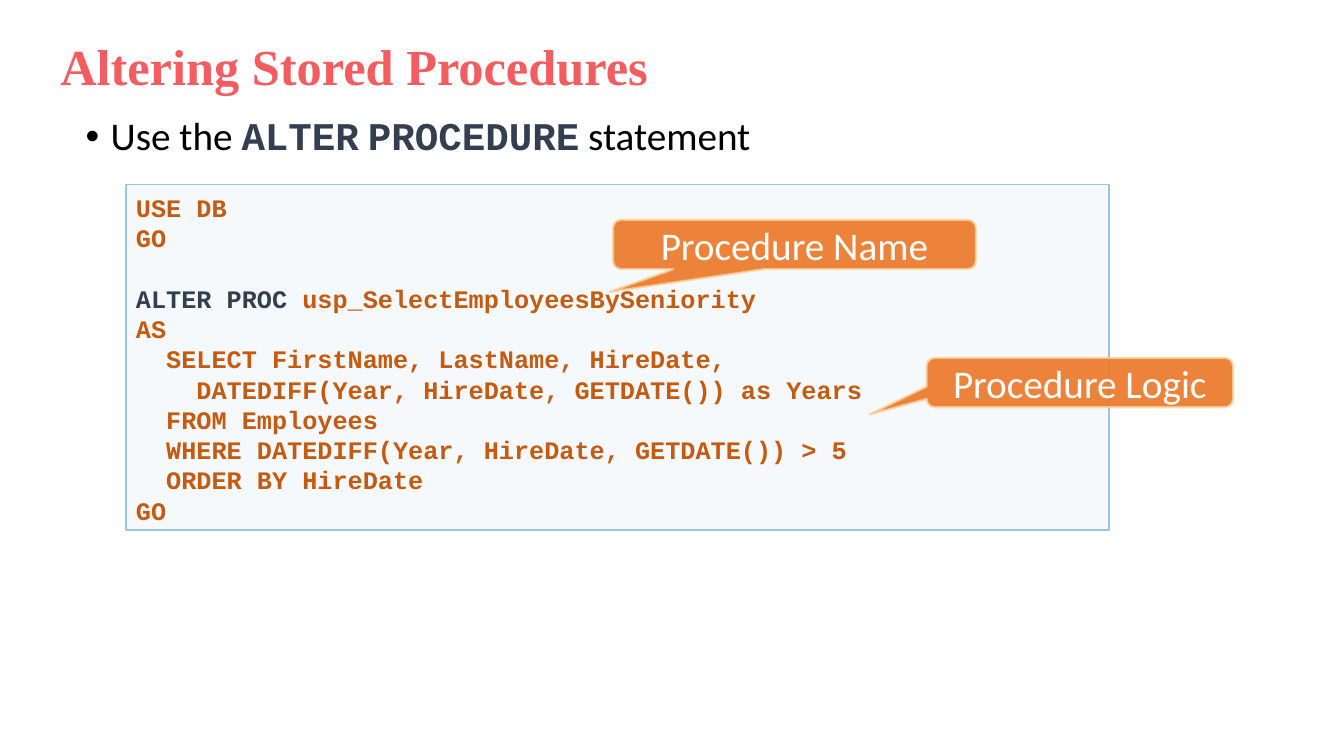
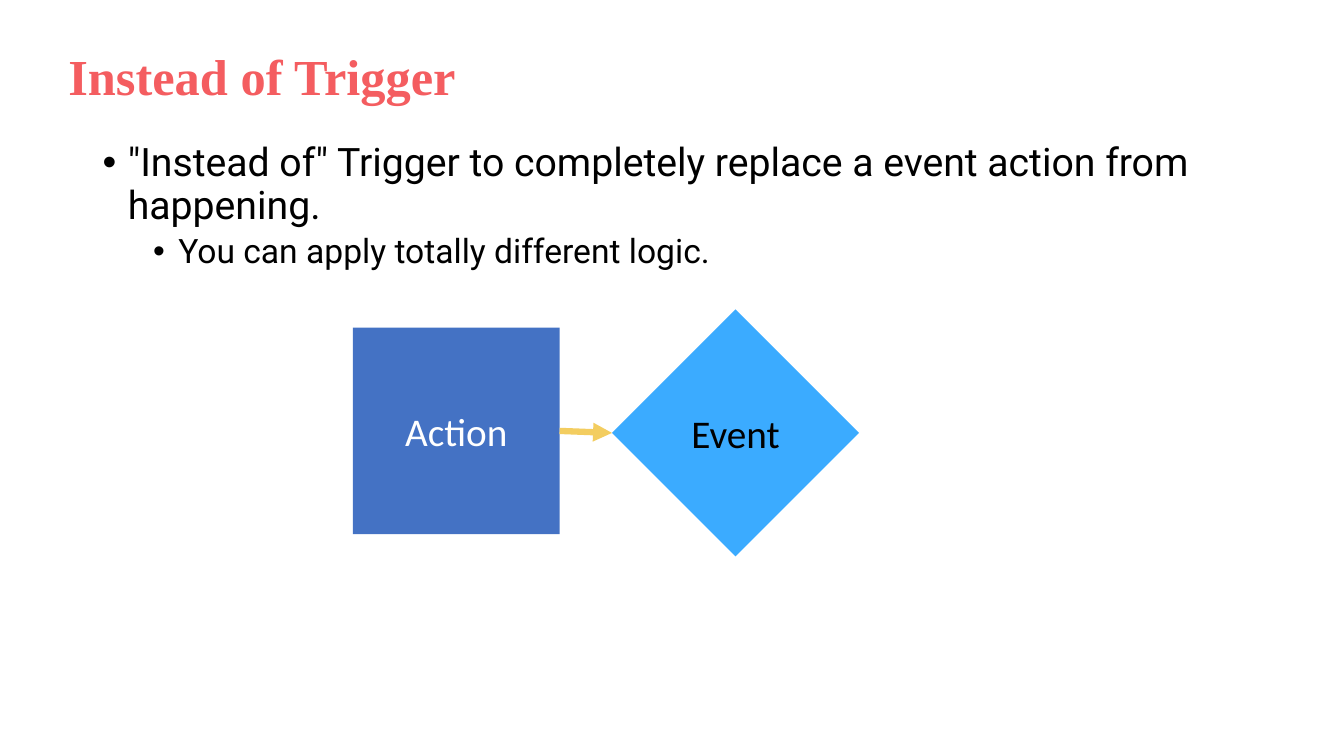
from dataclasses import dataclass

from lxml.etree import SubElement
from pptx import Presentation
from pptx.dml.color import RGBColor
from pptx.enum.shapes import MSO_CONNECTOR as Connector, MSO_SHAPE as Shape
from pptx.enum.text import MSO_ANCHOR as Anchor, PP_ALIGN as Align
from pptx.oxml.ns import qn
from pptx.util import Inches, Pt


@dataclass(frozen=True)
class Theme:
    # Colours
    title: str = "F45D60"
    ink: str = "000000"
    white: str = "FFFFFF"
    keyword: str = "333F50"
    code: str = "C55A11"
    code_fill: str = "BDD7EE"
    code_line: str = "9DC3E6"
    callout: str = "ED7D31"
    callout_line: str = "F8D49E"
    square: str = "4472C4"
    diamond: str = "3BABFF"
    arrow: str = "F3CD60"
    # Fonts
    title_font: str = "Times New Roman"
    body_font: str = "Calibri"
    code_font: str = "Courier New"
    alt_font: str = "Roboto"
    # Type sizes
    title_size: int = 36
    body_size: int = 28
    sub_size: int = 24
    code_size: int = 18
    code_pitch: float = 21.6


THEME = Theme()

# Each code line: indent in characters, then its (text, colour) spans
CODE_LINES = [
    (0, [("USE DB", THEME.code)]),
    (0, [("GO", THEME.code)]),
    (0, [("ALTER PROC ", THEME.keyword), ("usp_SelectEmployeesBySeniority", THEME.code)]),
    (0, [("AS", THEME.code)]),
    (2, [("SELECT FirstName, LastName, HireDate,", THEME.code)]),
    (4, [("DATEDIFF(Year, HireDate, GETDATE()) as Years", THEME.code)]),
    (2, [("FROM Employees", THEME.code)]),
    (2, [("WHERE DATEDIFF(Year, HireDate, GETDATE()) > 5", THEME.code)]),
    (2, [("ORDER BY HireDate", THEME.code)]),
    (0, [("GO", THEME.code)]),
]
BATCH_START = 2  # code line that follows a one-line gap


# Shared helpers
def rgb(colour):
    return RGBColor.from_string(colour)


def add_span(para, text, font, size, colour, bold=False):
    span = para.add_run()
    span.text = text
    span.font.name, span.font.size, span.font.bold = font, Pt(size), bold
    span.font.color.rgb = rgb(colour)


def set_opacity(fill_parent, percent):
    colour = fill_parent.find(qn("a:solidFill")).find(qn("a:srgbClr"))
    SubElement(colour, qn("a:alpha")).set("val", str(percent * 1000))


def set_indent(para, left, first=0):
    props = para._p.get_or_add_pPr()
    props.set("marL", str(Inches(left)))
    props.set("indent", str(Inches(first)))
    return props


def add_text_box(page, box, anchor=Anchor.TOP):
    frame = page.shapes.add_textbox(*map(Inches, box)).text_frame
    frame.word_wrap = True
    frame.vertical_anchor = anchor
    return frame


def add_panel(page, kind, box, fill, line=None, width=1):
    panel = page.shapes.add_shape(kind, *map(Inches, box))
    panel.shadow.inherit = False
    panel.fill.solid()
    panel.fill.fore_color.rgb = rgb(fill)
    if line:
        panel.line.color.rgb = rgb(line)
        panel.line.width = Pt(width)
    else:
        panel.line.fill.background()
    return panel


def add_label(panel, text, colour):
    panel.text_frame.vertical_anchor = Anchor.MIDDLE
    para = panel.text_frame.paragraphs[0]
    para.alignment = Align.CENTER
    add_span(para, text, THEME.body_font, THEME.body_size, colour)


# Title and bullets
def add_title(page, box, text):
    para = add_text_box(page, box, Anchor.MIDDLE).paragraphs[0]
    para.line_spacing = 0.9
    add_span(para, text, THEME.title_font, THEME.title_size, THEME.title, bold=True)


def add_bullets(page, box, items):
    """Each item is its level and a list of (text, font, colour, bold) spans."""
    frame = add_text_box(page, box)
    for number, (level, spans) in enumerate(items):
        para = frame.add_paragraph() if number else frame.paragraphs[0]
        para.level = level
        para.line_spacing = 0.9
        para.space_before = Pt(5 if level else 10)
        props = set_indent(para, 0.25 + 0.5 * level, -0.25)
        SubElement(props, qn("a:buFont")).set("typeface", "Arial")
        SubElement(props, qn("a:buChar")).set("char", "•")
        size = THEME.sub_size if level else THEME.body_size
        for text, font, colour, bold in spans:
            add_span(para, text, font, size, colour, bold)


# Code listing and its callouts
def add_code(page, box):
    panel = add_panel(page, Shape.RECTANGLE, box, THEME.code_fill, THEME.code_line)
    set_opacity(panel._element.spPr, 15)
    frame = panel.text_frame
    frame.vertical_anchor = Anchor.TOP
    frame.margin_top = Inches(0.08)
    character = 0.6 * THEME.code_size / 72
    for number, (indent, spans) in enumerate(CODE_LINES):
        para = frame.add_paragraph() if number else frame.paragraphs[0]
        para.alignment = Align.LEFT
        para.line_spacing = Pt(THEME.code_pitch)
        if number == BATCH_START:
            para.space_before = Pt(THEME.code_pitch)
        set_indent(para, indent * character)
        for text, colour in spans:
            add_span(para, text, THEME.code_font, THEME.code_size, colour, bold=True)


def add_callout(page, box, text, tip):
    callout = add_panel(page, Shape.ROUNDED_RECTANGULAR_CALLOUT, box,
                        THEME.callout, THEME.callout_line, 1.5)
    for index, value in enumerate((*tip, 0.167)):
        callout.adjustments[index] = value
    set_opacity(callout._element.spPr, 95)
    set_opacity(callout._element.spPr.find(qn("a:ln")), 80)
    add_label(callout, text, THEME.white)


# Action and event diagram
def add_flow(page, left, top):
    side, diagonal, gap = 2.05, 2.45, 0.52
    action = add_panel(page, Shape.RECTANGLE, (left, top + 0.18, side, side), THEME.square)
    add_label(action, "Action", THEME.white)
    event = add_panel(page, Shape.DIAMOND, (left + side + gap, top, diagonal, diagonal),
                      THEME.diamond)
    add_label(event, "Event", THEME.ink)

    arrow = page.shapes.add_connector(Connector.STRAIGHT, 0, 0, 0, 0)
    arrow.begin_connect(action, 3)
    arrow.end_connect(event, 1)
    arrow.line.color.rgb = rgb(THEME.arrow)
    arrow.line.width = Pt(4.5)
    props = arrow._element.spPr
    SubElement(props.find(qn("a:ln")), qn("a:tailEnd")).set("type", "triangle")
    SubElement(props, qn("a:effectLst"))


# Slides
def build_procedure_slide(page):
    add_title(page, (0.5, 0.34, 11.5, 0.7), "Altering Stored Procedures")
    plain = (THEME.body_font, THEME.ink, False)
    keyword = (THEME.code_font, THEME.keyword, True)
    add_bullets(page, (0.75, 1.11, 11.5, 0.7), [
        (0, [("Use the ", *plain), ("ALTER", *keyword), (" ", *plain),
             ("PROCEDURE", *keyword), (" statement", *plain)]),
    ])
    add_code(page, (1.25, 1.83, 9.75, 3.43))
    add_callout(page, (6.08, 2.18, 3.6, 0.49), "Procedure Name", (-0.509, 0.959))
    add_callout(page, (9.19, 3.55, 3.04, 0.49), "Procedure Logic", (-0.686, 0.646))


def build_trigger_slide(page):
    add_title(page, (0.58, 0.38, 11.5, 0.82), "Instead of Trigger")
    plain = (THEME.alt_font, THEME.ink, False)
    add_bullets(page, (0.92, 1.37, 11.5, 1.5), [
        (0, [('"Instead of" Trigger to completely replace a event action from happening.',
              *plain)]),
        (1, [("You can apply totally different logic.", *plain)]),
    ])
    add_flow(page, 3.5, 3.07)


def main():
    deck = Presentation()
    deck.slide_width, deck.slide_height = Inches(13.33), Inches(7.5)
    for build in (build_procedure_slide, build_trigger_slide):
        build(deck.slides.add_slide(deck.slide_layouts[6]))
    deck.save("out.pptx")


if __name__ == "__main__":
    main()
